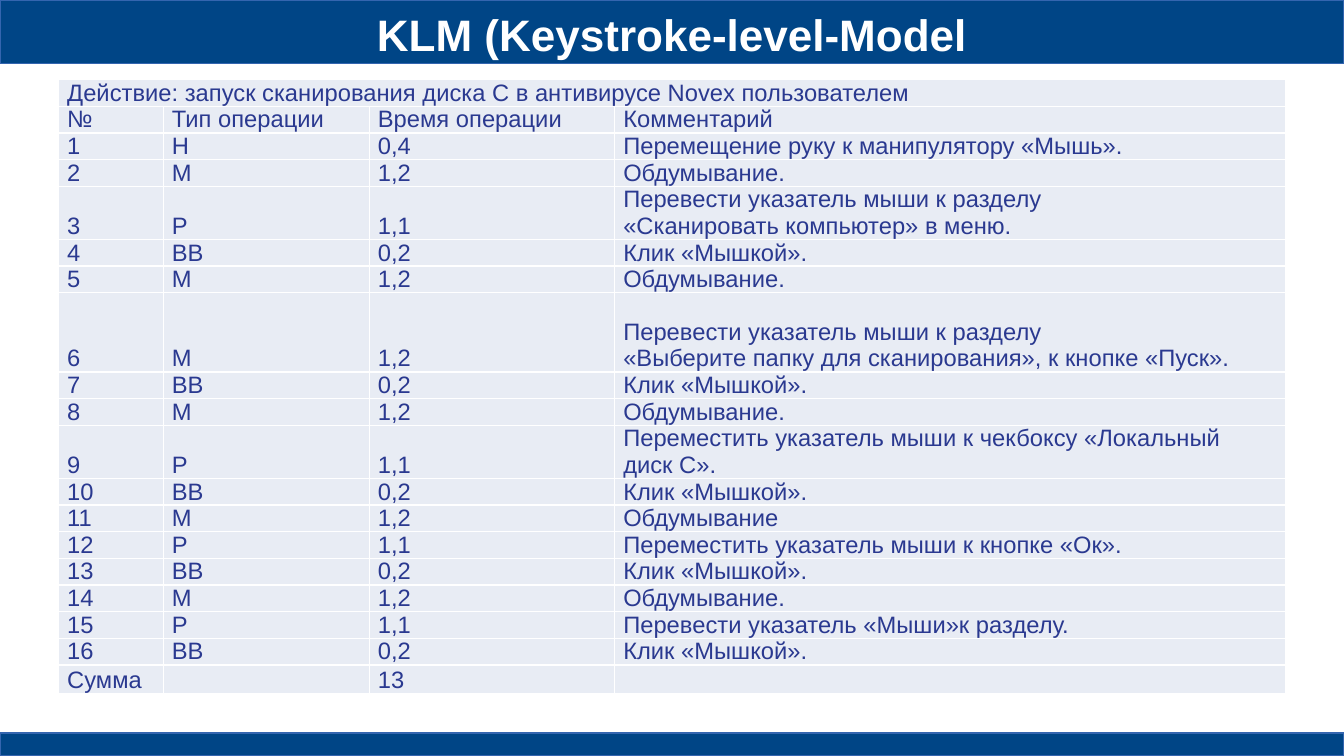
from lxml.etree import SubElement
from pptx import Presentation
from pptx.dml.color import RGBColor
from pptx.enum.shapes import MSO_SHAPE
from pptx.enum.text import MSO_ANCHOR, PP_ALIGN
from pptx.oxml.ns import qn
from pptx.util import Cm, Pt

NAVY = RGBColor(0x00, 0x45, 0x86)
EDGE = RGBColor(0x34, 0x65, 0xAF)
WHITE = RGBColor(0xFF, 0xFF, 0xFF)
INK = RGBColor(0x2A, 0x39, 0x90)
PALE = RGBColor(0xE8, 0xEC, 0xF4)

FACE = "Arial"
WIDE, HIGH = 27.99, 15.75
COLS = [2.18, 4.29, 5.11, 13.97]
UNIT = 0.55
TALL = {4: 2, 7: 3, 10: 2}

TITLE = "KLM (Keystroke-level-Model"
TASK = "Действие: запуск сканирования диска С в антивирусе Novex пользователем"
HEADS = ["№", "Тип операции", "Время операции", "Комментарий"]
TIMES = {"H": "0,4", "M": "1,2", "P": "1,1", "BB": "0,2"}
CLICK = ("BB", "Клик «Мышкой».")
THINK = ("M", "Обдумывание.")
STEPS = [
    ("H", "Перемещение руку к манипулятору «Мышь»."),
    THINK,
    ("P", "Перевести указатель мыши к разделу \n«Сканировать компьютер» в меню."),
    CLICK,
    THINK,
    ("M", "Перевести указатель мыши к разделу\n"
          "«Выберите папку для сканирования», к кнопке «Пуск»."),
    CLICK,
    THINK,
    ("P", "Переместить указатель мыши к чекбоксу «Локальный диск С»."),
    CLICK,
    ("M", "Обдумывание"),
    ("P", "Переместить указатель мыши к кнопке «Ок»."),
    CLICK,
    THINK,
    ("P", "Перевести указатель «Мыши»к разделу."),
    CLICK,
]
TOTAL = ["Сумма", "", "13", ""]


def write(frame, text, size=14, color=INK, bold=False, align=PP_ALIGN.LEFT,
          pitch=None):
    """Put formatted text into the first paragraph of a frame."""
    para = frame.paragraphs[0]
    para.text = text
    para.alignment = align
    para.line_spacing = pitch
    for run in para.runs:
        font = run.font
        font.name, font.size, font.bold = FACE, Pt(size), bold
        font.color.rgb = color
    marks = [(gap, "a:rPr") for gap in para._p.findall(qn("a:br"))]
    for node, tag in marks + [(para._p, "a:endParaRPr")]:
        props = SubElement(node, qn(tag), sz=str(size * 100))
        SubElement(props, qn("a:latin"), typeface=FACE)


def add_bar(slide, left, top, width, height):
    """Draw one plain navy band."""
    bar = slide.shapes.add_shape(
        MSO_SHAPE.RECTANGLE, Cm(left), Cm(top), Cm(width), Cm(height))
    bar.shadow.inherit = False
    bar.fill.solid()
    bar.fill.fore_color.rgb = NAVY
    bar.line.color.rgb = EDGE
    bar.line.width = 0


def add_title(slide, left, top, width, height):
    """Place the heading in its box."""
    frame = slide.shapes.add_textbox(
        Cm(left), Cm(top), Cm(width), Cm(height)).text_frame
    frame.word_wrap = True
    frame.vertical_anchor = MSO_ANCHOR.MIDDLE
    frame.margin_left = frame.margin_right = 0
    frame.margin_top = frame.margin_bottom = 0
    write(frame, TITLE, size=26, color=WHITE, bold=True, align=PP_ALIGN.CENTER)


def style_cell(cell):
    """Give a cell its borders, margins and fill."""
    props = cell._tc.get_or_add_tcPr()
    for side in ("lnL", "lnR", "lnT", "lnB"):
        line = SubElement(props, qn("a:" + side), w=str(Pt(0.96)))
        fill = SubElement(line, qn("a:solidFill"))
        SubElement(fill, qn("a:srgbClr"), val=str(WHITE))
    cell.margin_left, cell.margin_right = Cm(0.18), Cm(0.22)
    cell.margin_top = cell.margin_bottom = 0
    cell.vertical_anchor = MSO_ANCHOR.BOTTOM
    cell.fill.solid()
    cell.fill.fore_color.rgb = PALE


def add_steps(slide, left, top):
    """Build the table of operations and times."""
    rows = [[TASK, "", "", ""], HEADS]
    rows += [[str(num), kind, TIMES[kind], note]
             for num, (kind, note) in enumerate(STEPS, 1)]
    rows.append(TOTAL)
    units = [TALL.get(pos, 1) for pos in range(len(rows))]
    table = slide.shapes.add_table(
        len(rows), len(COLS), Cm(left), Cm(top),
        Cm(sum(COLS)), Cm(UNIT * sum(units))).table
    for col, width in zip(table.columns, COLS):
        col.width = Cm(width)
    for row, texts, count in zip(table.rows, rows, units):
        row.height = Cm(UNIT * count)
        for cell, text in zip(row.cells, texts):
            write(cell.text_frame, text, pitch=Pt(15.7))
            style_cell(cell)
    table.cell(0, 0).merge(table.cell(0, len(COLS) - 1))


def main():
    """Build the slide and save it."""
    deck = Presentation()
    deck.slide_width, deck.slide_height = Cm(WIDE), Cm(HIGH)
    slide = deck.slides.add_slide(deck.slide_layouts[6])
    add_bar(slide, 0, 0, WIDE, 1.32)
    add_bar(slide, 0, HIGH - 0.48, WIDE, 0.48)
    add_title(slide, 0.96, 0.08, 26.08, 1.25)
    add_steps(slide, 1.22, 1.66)
    deck.save("out.pptx")


if __name__ == "__main__":
    main()
